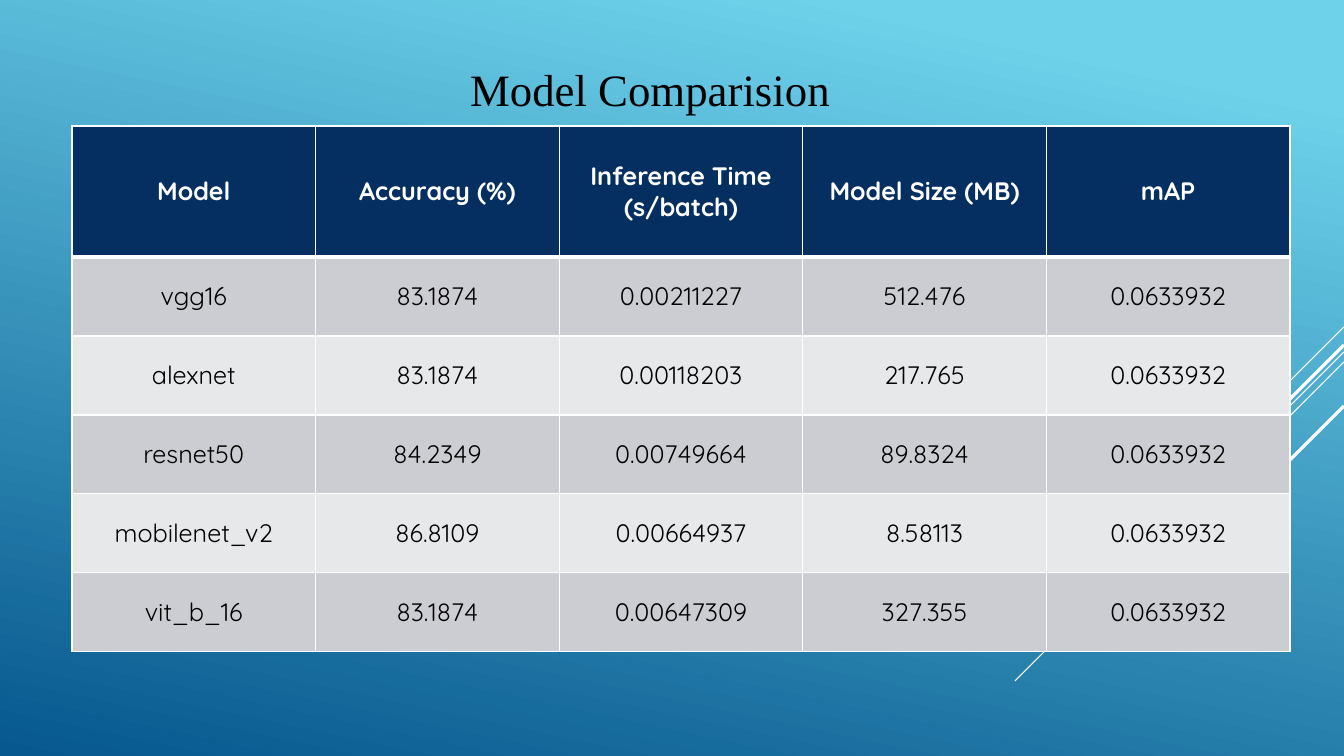
from dataclasses import dataclass

from lxml.etree import SubElement
from pptx import Presentation
from pptx.dml.color import RGBColor
from pptx.enum.shapes import MSO_CONNECTOR
from pptx.enum.text import MSO_ANCHOR, MSO_AUTO_SIZE, PP_ALIGN
from pptx.oxml.ns import qn
from pptx.util import Pt

TITLE = "Model Comparision"
ROWS = [
    ("Model", "Accuracy (%)", "Inference Time (s/batch)", "Model Size (MB)", "mAP"),
    ("vgg16", "83.1874", "0.00211227", "512.476", "0.0633932"),
    ("alexnet", "83.1874", "0.00118203", "217.765", "0.0633932"),
    ("resnet50", "84.2349", "0.00749664", "89.8324", "0.0633932"),
    ("mobilenet_v2", "86.8109", "0.00664937", "8.58113", "0.0633932"),
    ("vit_b_16", "83.1874", "0.00647309", "327.355", "0.0633932"),
]
RAYS = [(327, 101, 0.75), (352, 329, 0.75), (362, 209, 0.75), (345, 193, 2.25), (406, 140, 2.25)]
WIDE, HIGH = 1344, 756
HEAD, BODY = 131, 79
SCALE = 914400 / 100.8


@dataclass(frozen=True)
class Theme:
    light: str = "6ED2EB"
    deep: str = "06588E"
    navy: str = "052F61"
    white: str = "FFFFFF"
    black: str = "000000"
    bands: tuple = ("CCCDD2", "E7E8EA")
    serif: str = "Times New Roman"
    sans: str = "Quicksand"
    title: int = 32
    cell: int = 18


LOOK = Theme()


def px(count):
    return round(count * SCALE)


def tint(code):
    return RGBColor.from_string(code)


def write(frame, text, font, size, color, bold=False, align=PP_ALIGN.LEFT):
    para = frame.paragraphs[0]
    para.text = text
    para.alignment = align
    para.font.name = font
    para.font.size = Pt(size)
    para.font.bold = bold
    para.font.color.rgb = tint(color)


def edge(cell, side, width):
    line = SubElement(cell._tc.get_or_add_tcPr(), qn("a:ln" + side), w=str(Pt(width)))
    fill = SubElement(line, qn("a:solidFill"))
    SubElement(fill, qn("a:srgbClr"), val=LOOK.white)


def paint(slide):
    fill = slide.background.fill
    fill.gradient()
    fill.gradient_angle = 360 - 102
    for stop, place, code in zip(fill.gradient_stops, (0.1, 1), (LOOK.light, LOOK.deep)):
        stop.position = place
        stop.color.rgb = tint(code)


def streak(slide, top, run, width):
    ends = [px(n) for n in (WIDE, top, WIDE - run, top + run)]
    ray = slide.shapes.add_connector(MSO_CONNECTOR.STRAIGHT, *ends)
    ray.line.color.rgb = tint(LOOK.white)
    ray.line.width = Pt(width)
    SubElement(ray._element.spPr, qn("a:effectLst"))


def head(slide):
    box = slide.shapes.title
    box.left, box.top, box.width, box.height = [px(n) for n in (460, 52, 467, 62)]
    frame = box.text_frame
    frame.auto_size = MSO_AUTO_SIZE.NONE
    frame.vertical_anchor = MSO_ANCHOR.TOP
    frame.margin_top = px(10)
    write(frame, TITLE, LOOK.serif, LOOK.title, LOOK.black)


def grid(slide):
    count, span = len(ROWS), len(ROWS[0])
    tall = HEAD + BODY * (count - 1)
    table = slide.shapes.add_table(count, span, px(72), px(126), px(1218), px(tall)).table
    for col in table.columns:
        col.width = px(1218 / span)
    for r, row in enumerate(ROWS):
        top = r == 0
        table.rows[r].height = px(HEAD if top else BODY)
        for c, text in enumerate(row):
            cell = table.cell(r, c)
            cell.vertical_anchor = MSO_ANCHOR.MIDDLE
            write(cell.text_frame, text, LOOK.sans, LOOK.cell,
                  LOOK.white if top else LOOK.black, bold=top, align=PP_ALIGN.CENTER)
            for side in "LRTB":
                edge(cell, side, 3 if (r, side) in ((0, "B"), (1, "T")) else 1)
            cell.fill.solid()
            cell.fill.fore_color.rgb = tint(LOOK.navy if top else LOOK.bands[(r - 1) % 2])


def main():
    deck = Presentation()
    deck.slide_width, deck.slide_height = px(WIDE), px(HIGH)
    slide = deck.slides.add_slide(deck.slide_layouts[5])
    paint(slide)
    for ray in RAYS:
        streak(slide, *ray)
    grid(slide)
    head(slide)
    deck.save("out.pptx")


if __name__ == "__main__":
    main()
